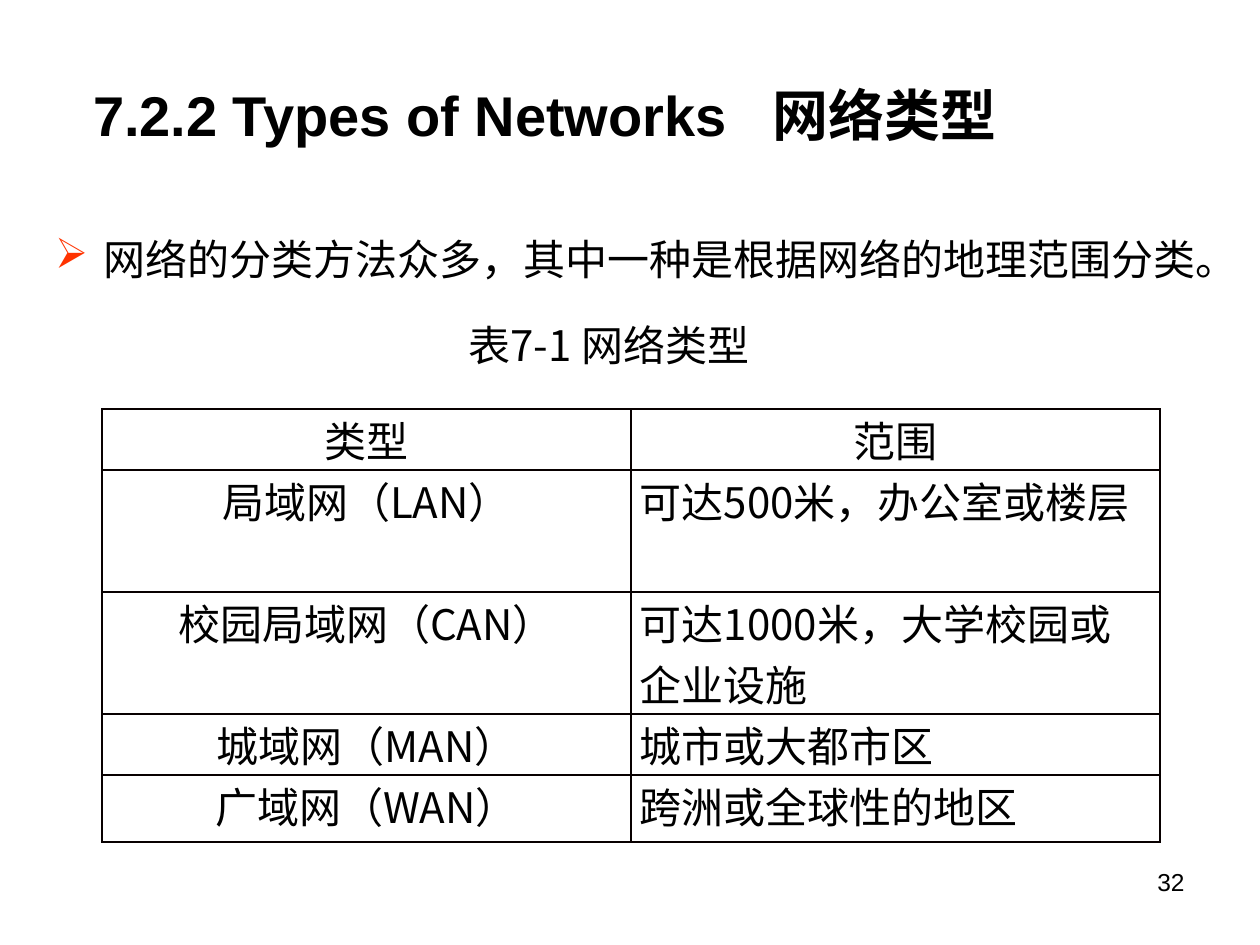
import pptx
import pptx.util
from pptx.dml.color import RGBColor
from pptx.enum.text import MSO_ANCHOR, PP_ALIGN
from pptx.oxml.ns import qn
from lxml import etree

# Content
TITLE = "7.2.2 Types of Networks\t网络类型"
INTRO = "网络的分类方法众多，其中一种是根据网络的地理范围分类。"
CAPTION = "表7-1 网络类型"
PAGE_NUMBER = "32"
ROWS = [
    ("类型", "范围"),
    ("局域网（LAN）", "可达500米，办公室或楼层"),
    ("校园局域网（CAN）", "可达1000米，大学校园或企业设施"),
    ("城域网（MAN）", "城市或大都市区"),
    ("广域网（WAN）", "跨洲或全球性的地区"),
]

# Layout in px, 126 to the inch
SLIDE = (1260, 945)
TITLE_BOX = (64, 35, 1180, 158)
INTRO_BOX = (42, 204, 1218, 626)
CAPTION_BOX = (112, 319, 993, 185)
NUMBER_BOX = (903, 861, 294, 65)
TABLE_AT = (102, 409)
COL_WIDTH = 529
ROW_HEIGHTS = (61, 122, 122, 61, 67)
CELL_INSET = 9
BULLET_INDENT = 48
TITLE_TAB = 679

THEME = {
    "latin": "Arial", "cjk": "Noto Sans CJK SC",
    "text": "000000", "bullet": "FF3300", "border": "080000", "border_pt": 1,
    "title": 32, "body": 24, "number": 14,
}


def px(n):
    return pptx.util.Emu(n * 914400 // 126)


def style(p, size, font, align=PP_ALIGN.LEFT, bold=False):
    p.alignment = align
    for r in p.runs:
        r.font.size = pptx.util.Pt(size)
        r.font.name = font
        r.font.bold = bold
        r.font.color.rgb = RGBColor.from_string(THEME["text"])
        ea = etree.Element(qn("a:ea"), typeface=THEME["cjk"])
        r.font._element.find(qn("a:latin")).addnext(ea)


def add_text(s, box, text, top=6, left=13):
    tf = s.shapes.add_textbox(*map(px, box)).text_frame
    tf.word_wrap = True
    tf.margin_top, tf.margin_left = px(top), px(left)
    tf.text = text
    return tf, tf.paragraphs[0]


def add_bullet(p, char, color, indent):
    pPr = p._p.get_or_add_pPr()
    pPr.set("marL", str(px(indent)))
    pPr.set("indent", str(-px(indent)))
    clr = etree.SubElement(pPr, qn("a:buClr"))
    etree.SubElement(clr, qn("a:srgbClr"), val=color)
    etree.SubElement(pPr, qn("a:buChar"), char=char)


def add_borders(cell):
    tcPr = cell._tc.get_or_add_tcPr()
    for i, side in enumerate(("lnL", "lnR", "lnT", "lnB")):
        ln = etree.Element(qn("a:" + side), w=str(pptx.util.Pt(THEME["border_pt"])))
        fill = etree.SubElement(ln, qn("a:solidFill"))
        etree.SubElement(fill, qn("a:srgbClr"), val=THEME["border"])
        tcPr.insert(i, ln)


def add_network_table(s):
    size = (len(ROWS[0]) * COL_WIDTH, sum(ROW_HEIGHTS))
    table = s.shapes.add_table(len(ROWS), len(ROWS[0]), *map(px, TABLE_AT + size)).table
    for col in table.columns:
        col.width = px(COL_WIDTH)
    for i, (texts, height) in enumerate(zip(ROWS, ROW_HEIGHTS)):
        table.rows[i].height = px(height)
        for j, text in enumerate(texts):
            cell = table.cell(i, j)
            cell.margin_left = cell.margin_right = px(CELL_INSET)
            cell.margin_top = cell.margin_bottom = 0
            cell.fill.background()
            add_borders(cell)
            cell.text_frame.text = text
            centred = i == 0 or j == 0
            style(cell.text_frame.paragraphs[0], THEME["body"], THEME["cjk"],
                  PP_ALIGN.CENTER if centred else PP_ALIGN.LEFT)


def main():
    prs = pptx.Presentation()
    prs.slide_width, prs.slide_height = map(px, SLIDE)
    s = prs.slides.add_slide(prs.slide_layouts[6])

    # Title, with a tab stop before the Chinese name
    tf, p = add_text(s, TITLE_BOX, TITLE, left=29)
    tf.vertical_anchor = MSO_ANCHOR.MIDDLE
    tabs = etree.SubElement(p._p.get_or_add_pPr(), qn("a:tabLst"))
    etree.SubElement(tabs, qn("a:tab"), pos=str(px(TITLE_TAB)), algn="l")
    style(p, THEME["title"], THEME["latin"], bold=True)

    # Introductory bullet
    tf, p = add_text(s, INTRO_BOX, INTRO, top=14)
    add_bullet(p, "➢", THEME["bullet"], BULLET_INDENT)
    p.line_spacing = 1.3
    style(p, THEME["body"], THEME["latin"])

    # Page number
    tf, p = add_text(s, NUMBER_BOX, PAGE_NUMBER)
    style(p, THEME["number"], THEME["latin"], PP_ALIGN.RIGHT)

    # Table and its caption
    tf, p = add_text(s, CAPTION_BOX, CAPTION, top=0)
    style(p, THEME["body"], THEME["cjk"], PP_ALIGN.CENTER)
    add_network_table(s)

    prs.save("out.pptx")


if __name__ == "__main__":
    main()
